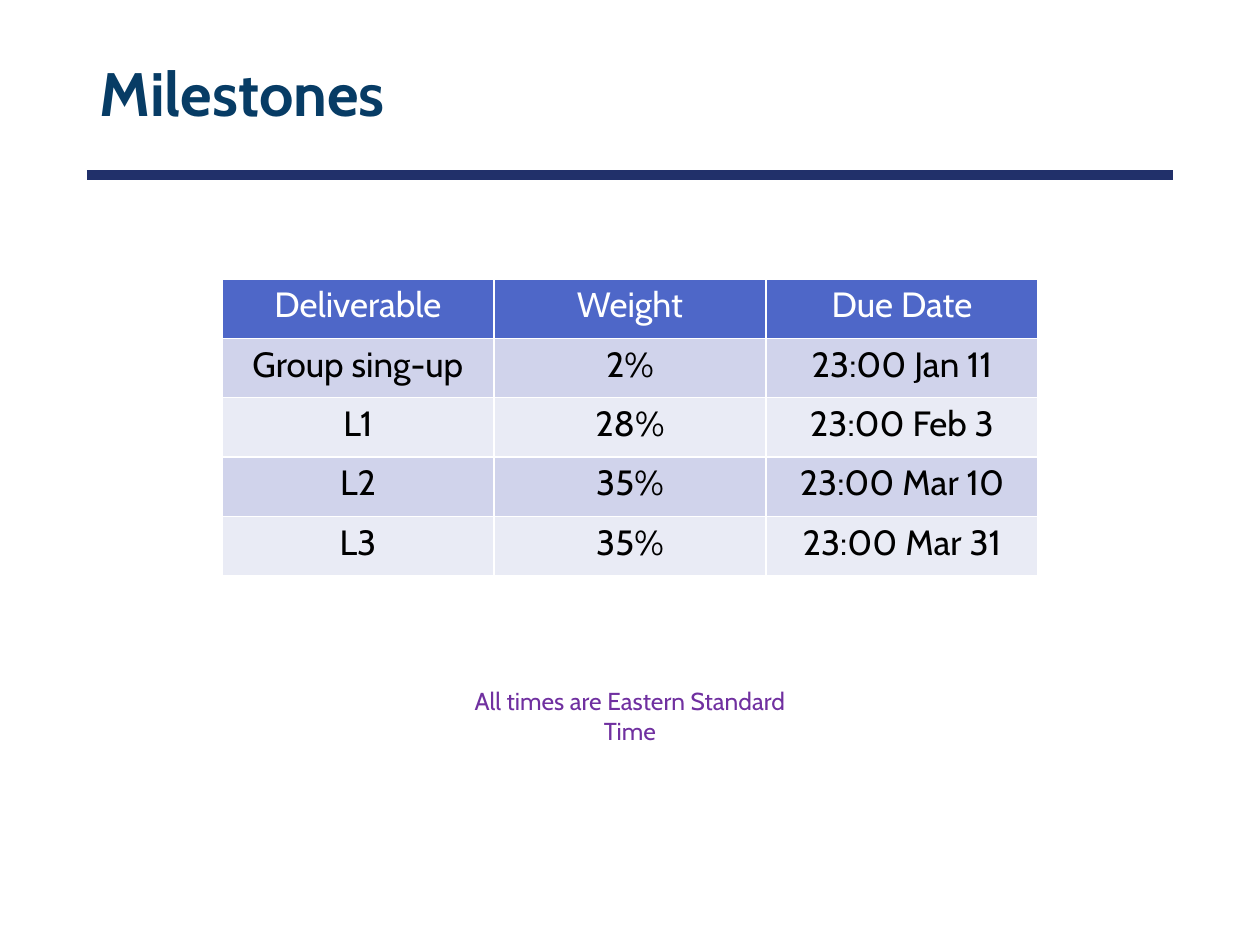
from lxml.etree import SubElement
from pptx import Presentation
from pptx.dml.color import RGBColor
from pptx.enum.shapes import MSO_CONNECTOR
from pptx.enum.text import MSO_ANCHOR, MSO_AUTO_SIZE, PP_ALIGN
from pptx.oxml.ns import qn
from pptx.util import Emu, Pt

PX = 914400 // 126
FONT = "Cabin"
NAVY = RGBColor(0x21, 0x30, 0x6A)
TITLE_BLUE = RGBColor(0x07, 0x3C, 0x65)
HEADER_BLUE = RGBColor(0x4E, 0x67, 0xC8)
BAND_DARK = RGBColor(0xD0, 0xD3, 0xEB)
BAND_LIGHT = RGBColor(0xE9, 0xEB, 0xF5)
WHITE = RGBColor(0xFF, 0xFF, 0xFF)
BLACK = RGBColor(0x00, 0x00, 0x00)
PURPLE = RGBColor(0x70, 0x30, 0xA0)

MILESTONES = [
    ("Deliverable", "Weight", "Due Date"),
    ("Group sing-up", "2%", "23:00 Jan 11"),
    ("L1", "28%", "23:00 Feb 3"),
    ("L2", "35%", "23:00 Mar 10"),
    ("L3", "35%", "23:00 Mar 31"),
]


def px(length):
    return Emu(length * PX)


def format_text(frame, size, color, align, bold=False):
    for paragraph in frame.paragraphs:
        paragraph.alignment = align
        for run in paragraph.runs:
            run.font.name = FONT
            run.font.size = Pt(size)
            run.font.bold = bold
            run.font.color.rgb = color


def add_heading(slide, left, top, width, height):
    rule_y = px(top + height + 10)
    rule = slide.shapes.add_connector(
        MSO_CONNECTOR.STRAIGHT, px(left), rule_y, px(left + width), rule_y)
    rule.line.color.rgb = NAVY
    rule.line.width = Pt(6)
    SubElement(rule._element.spPr, qn("a:effectLst"))

    title = slide.shapes.title
    title.left, title.top = px(left), px(top)
    title.width, title.height = px(width), px(height)
    title.text_frame.text = "Milestones"
    title.text_frame.vertical_anchor = MSO_ANCHOR.MIDDLE
    title.text_frame.paragraphs[0].line_spacing = 0.9
    format_text(title.text_frame, 35, TITLE_BLUE, PP_ALIGN.LEFT, bold=True)


def add_milestone_table(slide, left, top, width, height):
    table = slide.shapes.add_table(
        len(MILESTONES), len(MILESTONES[0]),
        px(left), px(top), px(width), px(height)).table
    for row, milestone in enumerate(MILESTONES):
        if row == 0:
            fill, color = HEADER_BLUE, WHITE
        else:
            fill, color = (BAND_DARK if row % 2 else BAND_LIGHT), BLACK
        for column, entry in enumerate(milestone):
            cell = table.cell(row, column)
            cell.fill.solid()
            cell.fill.fore_color.rgb = fill
            cell.margin_left = cell.margin_right = px(8)
            cell.margin_top = cell.margin_bottom = px(5)
            cell.text_frame.text = entry
            format_text(cell.text_frame, 20, color, PP_ALIGN.CENTER)


def add_time_zone_note(slide, left, top, width, height):
    note = slide.shapes.add_textbox(px(left), px(top), px(width), px(height))
    note.text_frame.word_wrap = True
    note.text_frame.auto_size = MSO_AUTO_SIZE.SHAPE_TO_FIT_TEXT
    note.text_frame.text = "All times are Eastern Standard Time"
    format_text(note.text_frame, 14, PURPLE, PP_ALIGN.CENTER)


def main():
    presentation = Presentation()
    presentation.slide_width = px(1260)
    presentation.slide_height = px(945)
    slide = presentation.slides.add_slide(presentation.slide_layouts[5])
    add_heading(slide, 87, 29, 1086, 136)
    add_milestone_table(slide, 222, 279, 816, 297)
    add_time_zone_note(slide, 444, 680, 372, 43)
    presentation.save("out.pptx")


if __name__ == "__main__":
    main()
